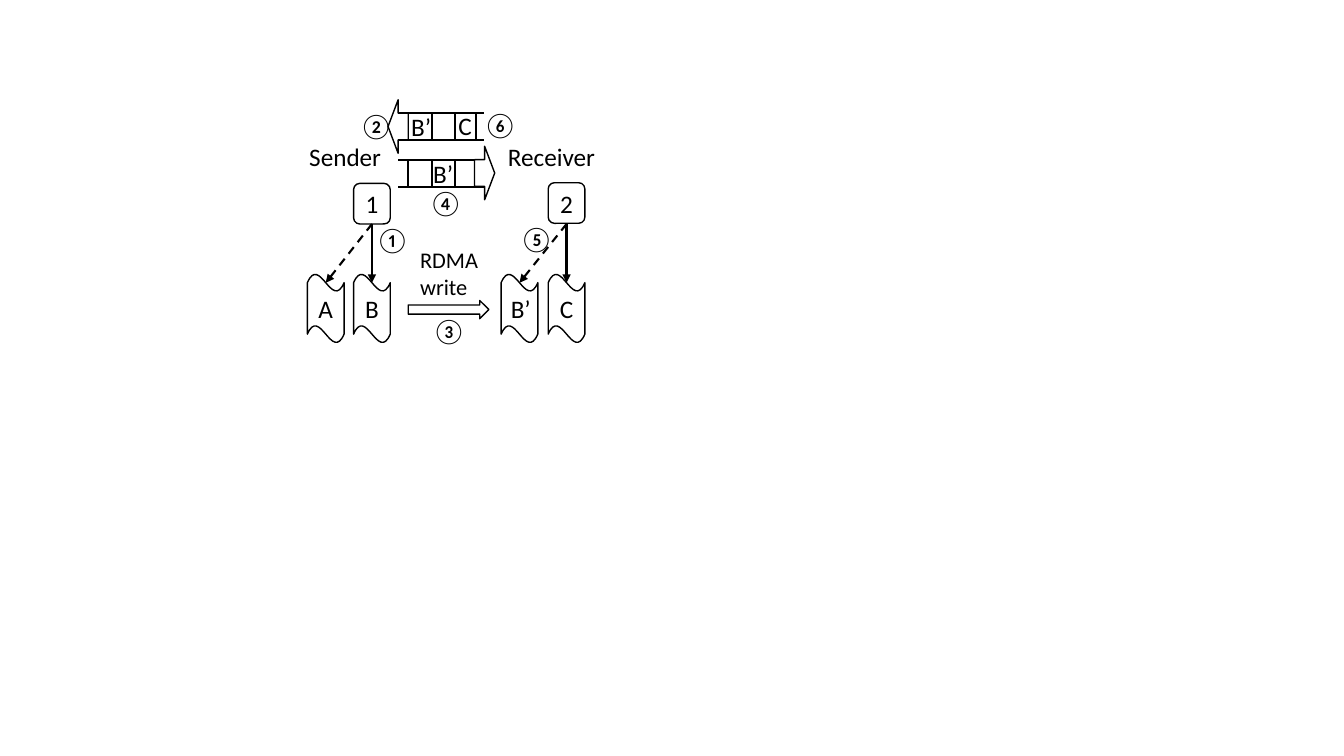
from lxml import etree
from pptx import Presentation
from pptx.dml.color import RGBColor
from pptx.enum.dml import MSO_LINE
from pptx.enum.shapes import MSO_CONNECTOR, MSO_SHAPE
from pptx.enum.text import MSO_ANCHOR, MSO_AUTO_SIZE, PP_ALIGN
from pptx.oxml.ns import qn
from pptx.util import Pt

BLACK = RGBColor(0, 0, 0)
WHITE = RGBColor(255, 255, 255)
FONT = "Calibri"
WAVE, NODE = MSO_SHAPE.WAVE, MSO_SHAPE.ROUNDED_RECTANGLE
RIGHT_ARROW, LEFT_ARROW = MSO_SHAPE.RIGHT_ARROW, MSO_SHAPE.LEFT_ARROW
STRAIGHT, DASH = MSO_CONNECTOR.STRAIGHT, MSO_LINE.DASH
CENTER, MIDDLE, TOP = PP_ALIGN.CENTER, MSO_ANCHOR.MIDDLE, MSO_ANCHOR.TOP
FIT_TEXT = MSO_AUTO_SIZE.SHAPE_TO_FIT_TEXT

prs = Presentation()
prs.slide_width, prs.slide_height = Pt(960), Pt(540)
slide = prs.slides.add_slide(prs.slide_layouts[6])


def add_item(text, left, top, width, height=28.8, preset=None, size=18):
    """Add an outlined shape with centred text, or a plain label without a preset."""
    box = [Pt(value) for value in (left, top, width, height)]
    if preset is None:
        item = slide.shapes.add_textbox(*box)
        item.text_frame.auto_size = FIT_TEXT
    else:
        item = slide.shapes.add_shape(preset, *box)
        item.shadow.inherit = False
        item.fill.solid()
        item.fill.fore_color.rgb = WHITE
        item.line.color.rgb = BLACK
        item.line.width = Pt(1)
    frame = item.text_frame
    frame.word_wrap = preset is not None
    frame.vertical_anchor = MIDDLE if preset is not None else TOP
    if text:
        paragraph = frame.paragraphs[0]
        paragraph.text = text
        if preset is not None:
            paragraph.alignment = CENTER
        for run in paragraph.runs:
            run.font.name = FONT
            run.font.size = Pt(size)
            run.font.color.rgb = BLACK


def add_line(x1, y1, x2, y2, arrow=False, dashed=False):
    line = slide.shapes.add_connector(STRAIGHT, Pt(x1), Pt(y1), Pt(x2), Pt(y2))
    line.line.color.rgb = BLACK
    line.line.width = Pt(1.5)
    if dashed:
        line.line.dash_style = DASH
    if arrow:
        tail = etree.SubElement(line.line._get_or_add_ln(), qn("a:tailEnd"))
        tail.set("type", "triangle")
    etree.SubElement(line._element.spPr, qn("a:effectLst"))


# Sender and receiver: a node pointing at its old and new buffers
BUFFER_WIDTH, BUFFER_TOP = 26.2, 195.8
hosts = [
    ("1", 252.6, 131, [("A", 219.6, True), ("B", 252.6, False)]),
    ("2", 391.6, 130.5, [("", 358, True), ("C", 391.6, False)]),
]
for number, node_left, node_top, buffers in hosts:
    add_item(number, node_left, node_top, BUFFER_WIDTH, 29, preset=NODE)
    node_center = node_left + BUFFER_WIDTH / 2
    for buffer, left, old in buffers:
        add_item(buffer, left, BUFFER_TOP, BUFFER_WIDTH, 49, preset=WAVE)
        add_line(node_center, 160, left + BUFFER_WIDTH / 2, 202,
                 arrow=True, dashed=old)

# Message queues, one in each direction
LANE_LEFT, LANE_RIGHT, LANE_HEIGHT = 284.4, 345.6, 19.4
queues = [
    (114.5, RIGHT_ARROW, 339, 104.5),
    (80.6, LEFT_ARROW, 277.2, 71.3),
]
for lane_top, head, head_left, head_top in queues:
    lane_bottom = lane_top + LANE_HEIGHT
    for y in (lane_top, lane_bottom):
        add_line(LANE_LEFT, y, LANE_RIGHT, y)
    for x in (291.6, 308.6, 324.8, 339.8):
        add_line(x, lane_top, x, lane_bottom)
    add_item("", head_left, head_top, 14.4, 38.2, preset=head)

add_item("", 291.6, 214.6, 57.6, 13, preset=RIGHT_ARROW)
add_item("RDMA\nwrite", 293, 172, 56.2, 46, size=16)

labels = [
    ("Sender", 213.8, 97.2, 66.2),
    ("Receiver", 355.7, 97.2, 77.8),
    ("B’", 302.4, 109.4, 28.8),
    ("B’", 286.6, 76.3, 28.8),
    ("C", 320.4, 75.6, 24.5),
    ("B’", 357.8, 206, 28.8),
    ("①", 261.4, 157, 32.4),
    ("②", 249.8, 75.6, 32.4),
    ("③", 301.7, 221.8, 32.4),
    ("④", 299.5, 130.3, 32.4),
    ("⑤", 364.3, 156.2, 32.4),
    ("⑥", 338.4, 74.2, 32.4),
]
for text, left, top, width in labels:
    add_item(text, left, top, width)

prs.save("out.pptx")
